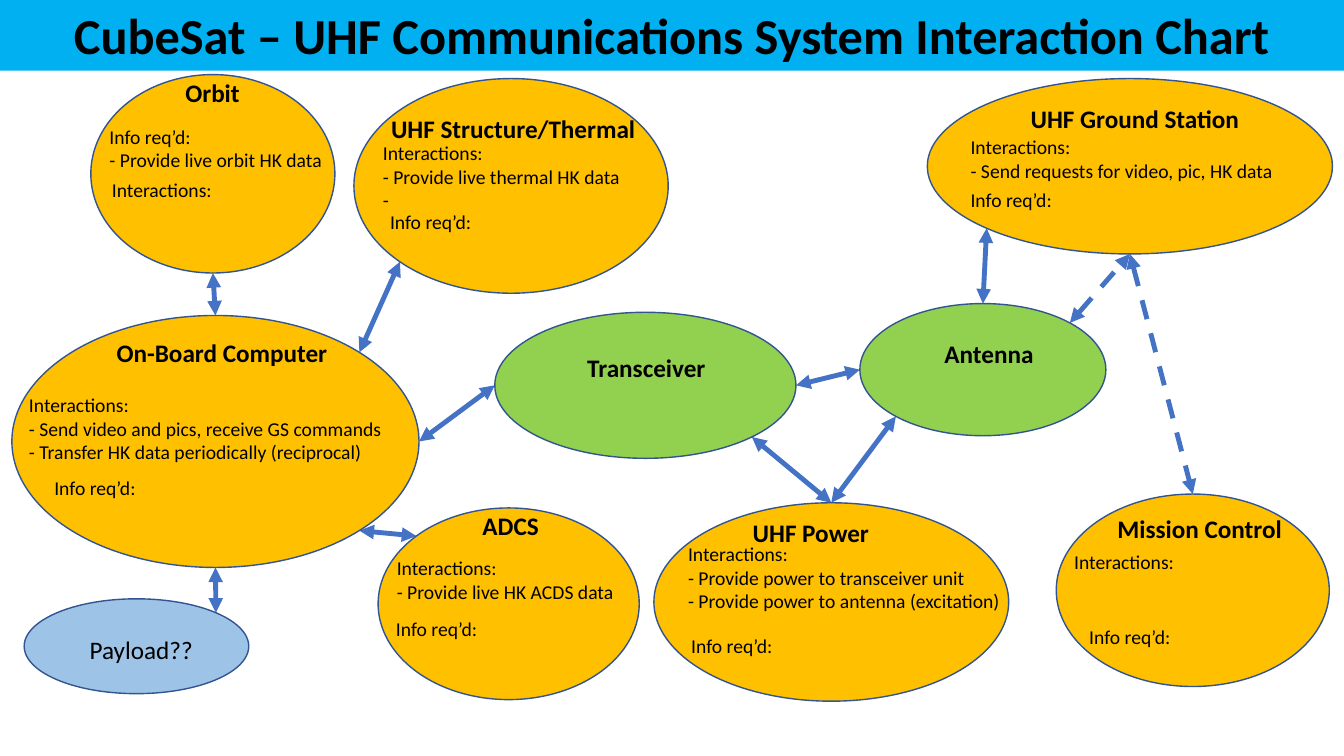
from dataclasses import dataclass
from math import cos, radians, sin
from typing import Any

from lxml import etree
from pptx import Presentation
from pptx.dml.color import RGBColor
from pptx.enum.dml import MSO_LINE
from pptx.enum.shapes import MSO_CONNECTOR, MSO_SHAPE
from pptx.enum.text import MSO_ANCHOR, PP_ALIGN
from pptx.oxml.ns import qn
from pptx.slide import Slide
from pptx.text.text import TextFrame
from pptx.util import Cm, Pt

OVAL = MSO_SHAPE.OVAL
STRAIGHT = MSO_CONNECTOR.STRAIGHT
DASH = MSO_LINE.DASH
BOTTOM = MSO_ANCHOR.BOTTOM
LEFT, CENTER = PP_ALIGN.LEFT, PP_ALIGN.CENTER

BLACK, SKY = "000000", "00B0F0"
ORANGE, GREEN, PALE_BLUE = "FFC000", "92D050", "9DC3E6"
OUTLINE, ARROW = "325491", "4472C4"

FONT = "Calibri"
TITLE_FORMAT = {"name": FONT, "size": Pt(36), "bold": True}
LABEL_FORMAT = {"name": FONT, "size": Pt(18), "bold": True}
PLAIN_LABEL_FORMAT = {"name": FONT, "size": Pt(18), "bold": False}
NOTE_FORMAT = {"name": FONT, "size": Pt(14), "bold": False}

INTERACTIONS = "Interactions:"
INFO = "Info req’d:"

SITE_ANGLES = {
    "right": 0, "bottom right": 45, "bottom": 90, "bottom left": 135,
    "left": 180, "top left": 225, "top": 270, "top right": 315,
}


@dataclass(frozen=True)
class Caption:
    left: float
    top: float
    width: float
    lines: tuple[str, ...]
    format: dict[str, Any]
    alignment: PP_ALIGN = LEFT


@dataclass(frozen=True)
class Subsystem:
    left: float
    top: float
    width: float
    height: float
    fill: str
    captions: tuple[Caption, ...]

    def site(self, name: str) -> tuple[Cm, Cm]:
        angle = radians(SITE_ANGLES[name])
        x = self.left + self.width / 2 * (1 + cos(angle))
        y = self.top + self.height / 2 * (1 + sin(angle))
        return Cm(x), Cm(y)


@dataclass(frozen=True)
class Link:
    start: str
    start_site: str
    end: str
    end_site: str
    dashed: bool = False


def label(left: float, top: float, width: float, text: str,
          alignment: PP_ALIGN = LEFT) -> Caption:
    return Caption(left, top, width, (text,), LABEL_FORMAT, alignment)


def note(left: float, top: float, width: float, *lines: str) -> Caption:
    return Caption(left, top, width, lines, NOTE_FORMAT)


SUBSYSTEMS = {
    "transceiver": Subsystem(12.47, 7.87, 7.59, 3.68, GREEN, (
        label(14.55, 8.76, 3.8, "Transceiver"),
    )),
    "antenna": Subsystem(21.67, 7.65, 6.2, 3.33, GREEN, (
        label(23.55, 8.41, 3.2, "Antenna"),
    )),
    "adcs": Subsystem(9.53, 12.8, 6.58, 4.83, ORANGE, (
        label(11.91, 12.73, 2.57, "ADCS"),
        note(9.73, 15.42, 5.97, INFO),
        note(9.75, 13.89, 6.35, INTERACTIONS, "- Provide live HK ACDS data"),
    )),
    "power": Subsystem(16.48, 12.67, 8.94, 5, ORANGE, (
        label(18.72, 12.9, 3.9, "UHF Power"),
        note(17.17, 15.85, 9.14, INFO),
        note(17.09, 13.54, 9.14, INTERACTIONS,
             "- Provide power to transceiver unit",
             "- Provide power to antenna (excitation)"),
    )),
    "orbit": Subsystem(2.29, 1.88, 6.15, 5, ORANGE, (
        label(4.42, 1.83, 2.46, "Orbit"),
        note(2.51, 3.02, 7.16, INFO, "- Provide live orbit HK data"),
        note(2.57, 4.37, 9.14, INTERACTIONS),
    )),
    "structure": Subsystem(8.92, 1.98, 7.92, 5.41, ORANGE, (
        label(9.14, 2.74, 7.59, "UHF Structure/Thermal", CENTER),
        note(9.58, 5.16, 5.82, INFO),
        note(9.4, 3.43, 9.14, INTERACTIONS,
             "- Provide live thermal HK data", "- "),
    )),
    "mission control": Subsystem(26.62, 12.45, 6.88, 4.85, ORANGE, (
        label(27.91, 12.8, 4.72, "Mission Control"),
        note(27.2, 15.62, 5.82, INFO),
        note(26.82, 13.72, 6, INTERACTIONS),
    )),
    "ground station": Subsystem(23.37, 1.98, 10.21, 4.42, ORANGE, (
        label(24.23, 2.49, 8.74, "UHF Ground Station", CENTER),
        note(24.21, 4.6, 8.76, INFO),
        note(24.21, 3.28, 9.19, INTERACTIONS,
             "- Send requests for video, pic, HK data"),
    )),
    "computer": Subsystem(0.3, 7.95, 10.26, 6.35, ORANGE, (
        label(2.69, 8.38, 6.78, "On-Board Computer"),
        note(1.12, 11.86, 8.53, INFO),
        note(0.48, 9.78, 10.52, INTERACTIONS,
             "- Send video and pics, receive GS commands",
             "- Transfer HK data periodically (reciprocal)"),
    )),
    "payload": Subsystem(0.61, 15.09, 5.66, 2.39, PALE_BLUE, (
        Caption(2.01, 15.85, 3.6, ("Payload??",), PLAIN_LABEL_FORMAT),
    )),
}

LINKS = (
    Link("computer", "right", "transceiver", "left"),
    Link("structure", "bottom left", "computer", "top right"),
    Link("transceiver", "right", "antenna", "left"),
    Link("antenna", "top", "ground station", "bottom left"),
    Link("transceiver", "bottom right", "power", "top"),
    Link("ground station", "bottom", "mission control", "top", True),
    Link("adcs", "top left", "computer", "bottom right"),
    Link("antenna", "bottom left", "power", "top"),
    Link("orbit", "bottom", "computer", "top"),
    Link("computer", "bottom", "payload", "top right"),
    Link("antenna", "top right", "ground station", "bottom", True),
)


def paint(color_format: Any, value: str) -> None:
    color_format.rgb = RGBColor.from_string(value)


def fill_solid(shape: Any, value: str) -> None:
    shape.fill.solid()
    paint(shape.fill.fore_color, value)


def write_lines(frame: TextFrame, lines: tuple[str, ...],
                format_values: dict[str, Any], alignment: PP_ALIGN) -> None:
    frame.word_wrap = True
    for index, line in enumerate(lines):
        paragraph = frame.add_paragraph() if index else frame.paragraphs[0]
        paragraph.alignment = alignment
        run = paragraph.add_run()
        run.text = line
        for attribute, value in format_values.items():
            setattr(run.font, attribute, value)
        paint(run.font.color, BLACK)


def draw_title(slide: Slide, text: str, width: Cm) -> None:
    title = slide.shapes.title
    placement = {"left": 0, "top": 0, "width": width, "height": Cm(1.78)}
    for attribute, value in placement.items():
        setattr(title, attribute, value)
    fill_solid(title, SKY)
    title.text_frame.vertical_anchor = BOTTOM
    write_lines(title.text_frame, (text,), TITLE_FORMAT, CENTER)
    title.text_frame.paragraphs[0].line_spacing = 0.9


def draw_subsystem(slide: Slide, subsystem: Subsystem) -> None:
    ellipse = slide.shapes.add_shape(
        OVAL, Cm(subsystem.left), Cm(subsystem.top),
        Cm(subsystem.width), Cm(subsystem.height))
    ellipse.shadow.inherit = False
    fill_solid(ellipse, subsystem.fill)
    paint(ellipse.line.color, OUTLINE)
    ellipse.line.width = Pt(1)
    for caption in subsystem.captions:
        height = 0.25 + 0.6 * len(caption.lines)
        box = slide.shapes.add_textbox(
            Cm(caption.left), Cm(caption.top), Cm(caption.width), Cm(height))
        write_lines(box.text_frame, caption.lines, caption.format, caption.alignment)


def draw_link(slide: Slide, link: Link) -> None:
    start = SUBSYSTEMS[link.start].site(link.start_site)
    end = SUBSYSTEMS[link.end].site(link.end_site)
    connector = slide.shapes.add_connector(STRAIGHT, *start, *end)
    paint(connector.line.color, ARROW)
    connector.line.width = Pt(3.5)
    if link.dashed:
        connector.line.dash_style = DASH
    properties = connector._element.spPr
    for tag in ("a:headEnd", "a:tailEnd"):
        etree.SubElement(properties.find(qn("a:ln")), qn(tag), type="triangle")
    etree.SubElement(properties, qn("a:effectLst"))


presentation = Presentation()
presentation.slide_width = Cm(33.87)
presentation.slide_height = Cm(19.05)
slide = presentation.slides.add_slide(presentation.slide_layouts.get_by_name("Title Only"))
draw_title(slide, "CubeSat – UHF Communications System Interaction Chart",
           presentation.slide_width)
for link in LINKS:
    draw_link(slide, link)
for subsystem in SUBSYSTEMS.values():
    draw_subsystem(slide, subsystem)
presentation.save("out.pptx")
